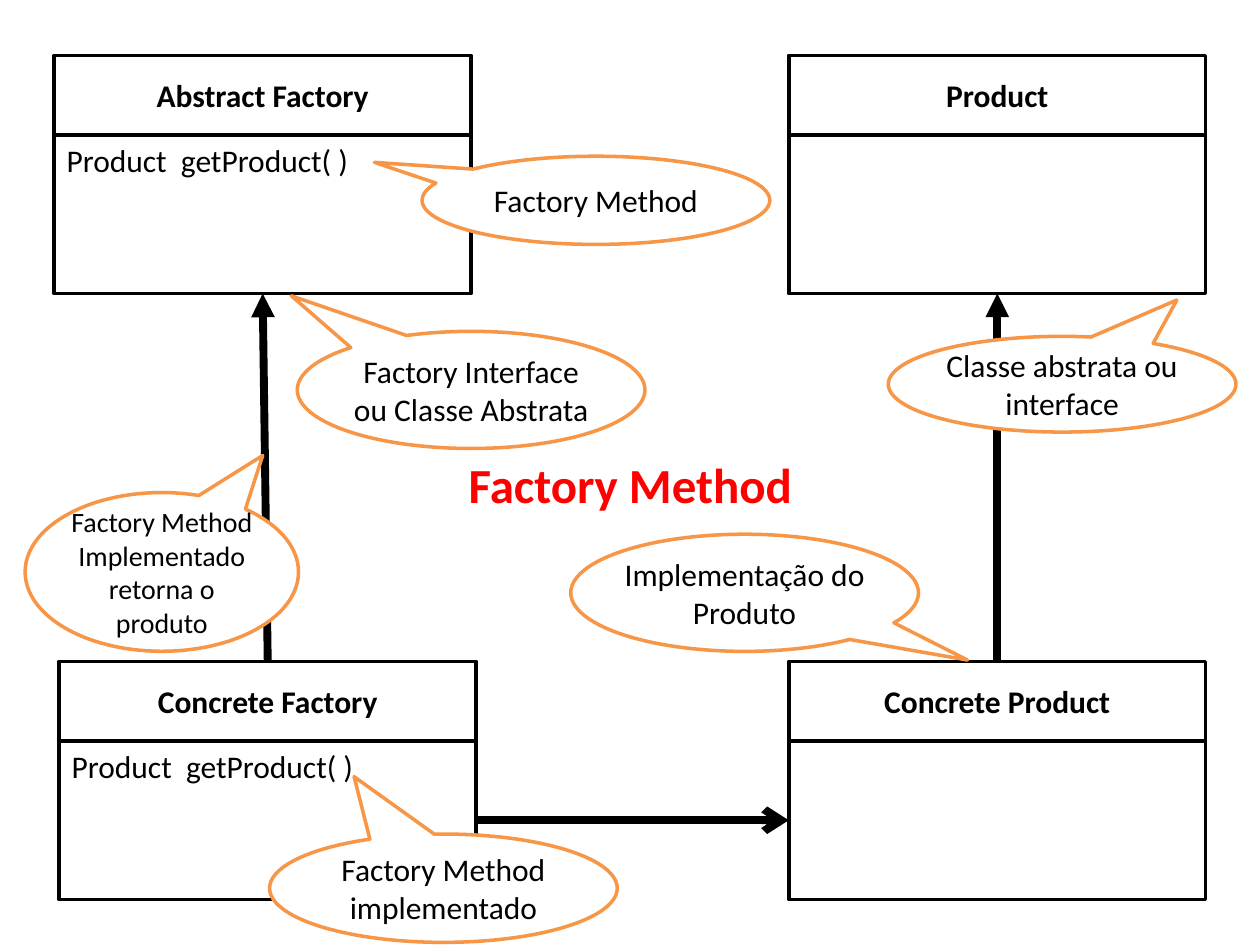
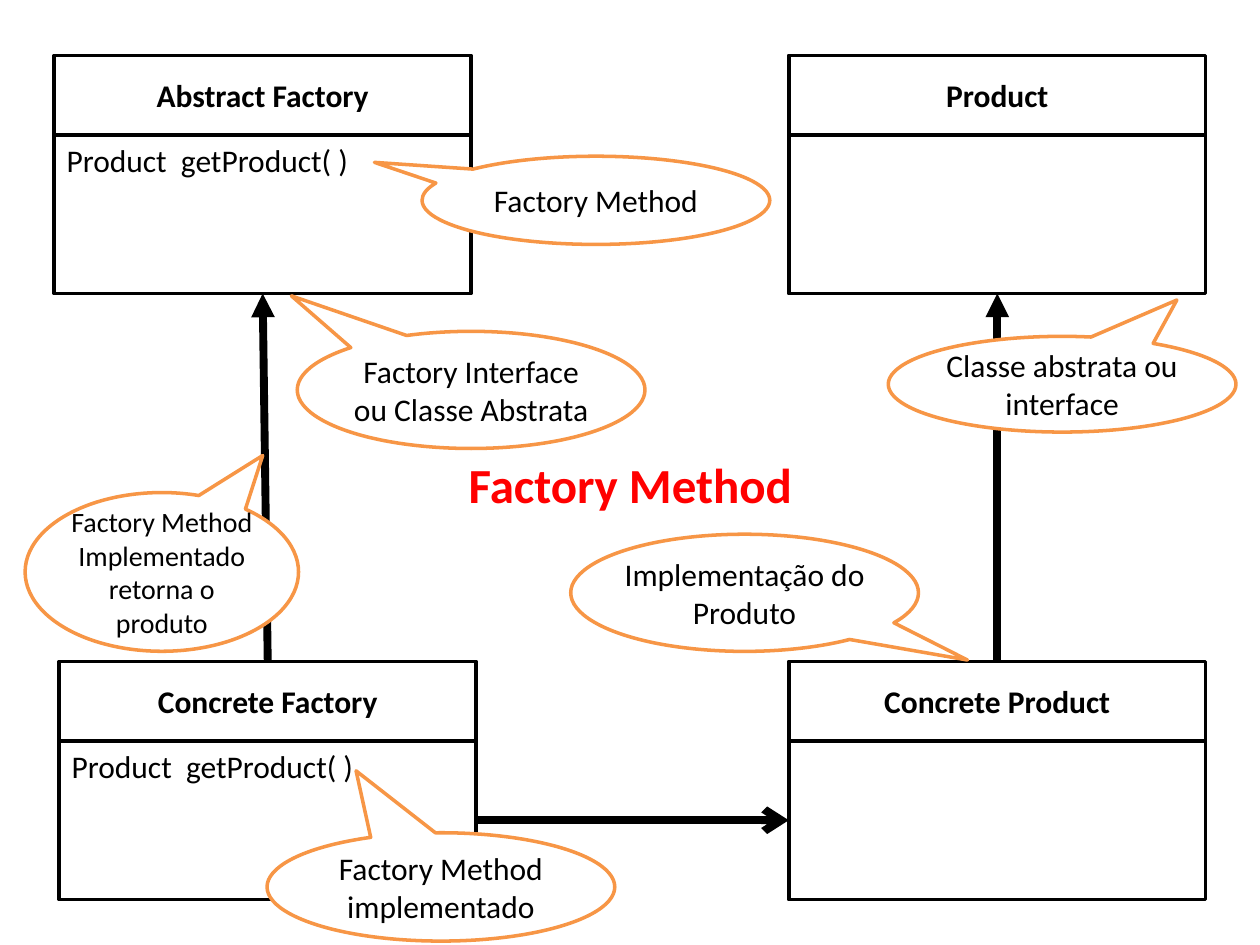
from pptx import Presentation
from pptx.dml.color import RGBColor
from pptx.enum.shapes import MSO_CONNECTOR, MSO_SHAPE
from pptx.enum.text import MSO_ANCHOR, MSO_AUTO_SIZE, PP_ALIGN
from pptx.oxml.ns import qn
from pptx.util import Inches, Pt
from lxml.etree import SubElement

BLACK = RGBColor(0, 0, 0)
WHITE = RGBColor(255, 255, 255)
RED = RGBColor(255, 0, 0)
ORANGE = RGBColor(0xF7, 0x96, 0x46)
FONT = "Calibri"

# Class boxes: name -> (left, top, method)
CLASS_W, UNIT = 3.31, 0.63      # the header is one unit high, the body two
TOP_ROW, BOTTOM_ROW, PRODUCT_COL = 0.44, 5.25, 6.26
METHOD = "Product  getProduct( )"
CLASSES = {
    "Abstract Factory": (0.43, TOP_ROW, METHOD),
    "Product": (PRODUCT_COL, TOP_ROW, ""),
    "Concrete Factory": (0.47, BOTTOM_ROW, METHOD),
    "Concrete Product": (PRODUCT_COL, BOTTOM_ROW, ""),
}

# Arrows: from (class, part, site), to (class, part, site), head
HEADER, BODY = 0, 1
TOP, LEFT, BOTTOM, RIGHT = range(4)
ARROWS = [
    (("Concrete Factory", HEADER, TOP), ("Abstract Factory", BODY, BOTTOM), "triangle"),
    (("Concrete Factory", BODY, RIGHT), ("Concrete Product", BODY, LEFT), "arrow"),
    (("Concrete Product", HEADER, TOP), ("Product", BODY, BOTTOM), "triangle"),
]

# Callouts: lines, (left, top, width, height), pointer, text size
CALLOUT_W = 2.76
CALLOUTS = [
    (["Factory Interface", "ou Classe Abstrata"],
     (2.36, 2.63, CALLOUT_W, 0.93), (-0.517, -0.803), 18),
    (["Factory Method"], (3.35, 1.24, CALLOUT_W, 0.7), (-0.637, -0.43), 18),
    (["Factory Method", "Implementado retorna o produto"],
     (0.2, 3.91, 2.17, 1.26), (0.369, -0.734), 16),
    (["Implementação do Produto"],
     (4.53, 4.24, CALLOUT_W, 0.93), (0.641, 0.574), 18),
    (["Classe abstrata ou interface"],
     (7.05, 2.67, CALLOUT_W, 0.76), (0.33, -0.88), 18),
]

# The callout on the concrete method differs from slide to slide
IMPLEMENTED = ["Factory Method", "implementado"]
SLIDES = [
    (IMPLEMENTED, (2.14, 6.62, CALLOUT_W, 0.86), (-0.257, -1.03), 18),
    (IMPLEMENTED, (2.12, 6.61, CALLOUT_W, 0.86), (-0.244, -1.072), 18),
]
TITLE, TITLE_BOX = "Factory Method", (3.62, 3.56, 2.8, 0.57)


def write(tf, lines, size, color=BLACK, bold=False, align=PP_ALIGN.CENTER):
    for i, line in enumerate(lines):
        p = tf.add_paragraph() if i else tf.paragraphs[0]
        p.alignment = align
        r = p.add_run()
        r.text = line
        r.font.name, r.font.size, r.font.bold = FONT, Pt(size), bold
        r.font.color.rgb = color


def add_outlined(slide, kind, box, line_color):
    sp = slide.shapes.add_shape(kind, *map(Inches, box))
    sp.shadow.inherit = False
    sp.fill.solid()
    sp.fill.fore_color.rgb = WHITE
    sp.line.color.rgb = line_color
    sp.line.width = Pt(2)
    sp.text_frame.word_wrap = True
    return sp


def add_class(slide, name, left, top, method):
    header = add_outlined(slide, MSO_SHAPE.RECTANGLE, (left, top, CLASS_W, UNIT), BLACK)
    write(header.text_frame, [name], 18, bold=True)
    body = add_outlined(slide, MSO_SHAPE.RECTANGLE,
                        (left, top + UNIT, CLASS_W, 2 * UNIT), BLACK)
    body.text_frame.vertical_anchor = MSO_ANCHOR.TOP
    if method:
        write(body.text_frame, [method], 18, align=PP_ALIGN.LEFT)
    return header, body


def add_arrow(slide, classes, start, end, head):
    line = slide.shapes.add_connector(MSO_CONNECTOR.STRAIGHT, 0, 0, 0, 0)
    line.begin_connect(classes[start[0]][start[1]], start[2])
    line.end_connect(classes[end[0]][end[1]], end[2])
    line.line.color.rgb = BLACK
    line.line.width = Pt(4.5)
    SubElement(line.line._get_or_add_ln(), qn("a:tailEnd"), type=head)
    SubElement(line._element.spPr, qn("a:effectLst"))


def add_callout(slide, lines, box, pointer, size):
    sp = add_outlined(slide, MSO_SHAPE.OVAL_CALLOUT, box, ORANGE)
    sp.adjustments[0], sp.adjustments[1] = pointer
    tf = sp.text_frame
    tf.margin_left = tf.margin_top = tf.margin_right = tf.margin_bottom = 0
    tf.vertical_anchor = MSO_ANCHOR.MIDDLE
    write(tf, lines, size)


def set_title(slide):
    sp = slide.shapes.title
    sp.left, sp.top, sp.width, sp.height = map(Inches, TITLE_BOX)
    tf = sp.text_frame
    tf.word_wrap = False
    tf.auto_size = MSO_AUTO_SIZE.SHAPE_TO_FIT_TEXT
    tf.vertical_anchor = MSO_ANCHOR.TOP
    write(tf, [TITLE], 28, RED, True, PP_ALIGN.LEFT)


prs = Presentation()
prs.slide_width, prs.slide_height = Inches(10), Inches(7.5)
title_only = prs.slide_layouts[5]
for implemented in SLIDES:
    s = prs.slides.add_slide(title_only)
    set_title(s)
    classes = {name: add_class(s, name, *rest) for name, rest in CLASSES.items()}
    for arrow in ARROWS:
        add_arrow(s, classes, *arrow)
    for callout in CALLOUTS + [implemented]:
        add_callout(s, *callout)
prs.save("out.pptx")
